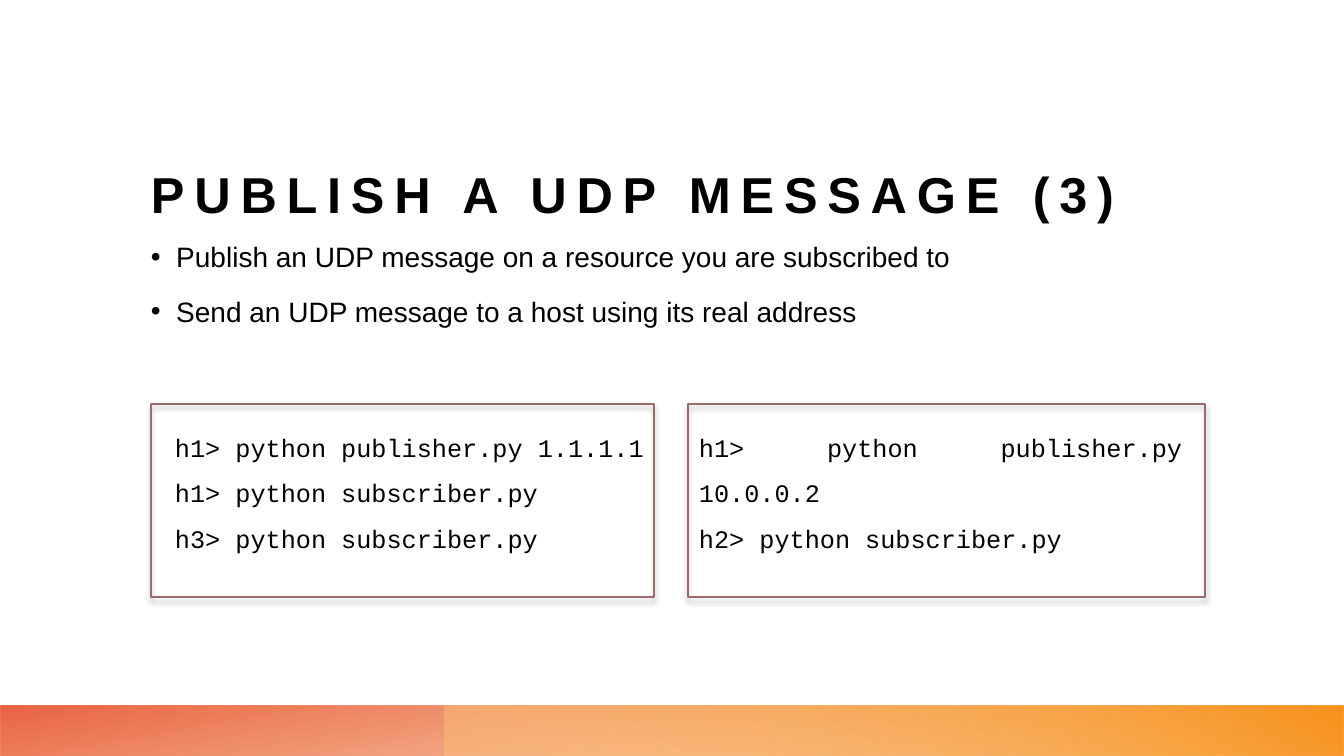
from lxml.etree import SubElement
from pptx import Presentation
from pptx.dml.color import RGBColor
from pptx.enum.shapes import MSO_SHAPE
from pptx.enum.text import MSO_ANCHOR, PP_ALIGN
from pptx.oxml import parse_xml
from pptx.oxml.ns import nsdecls, qn
from pptx.util import Pt

TITLE = "PUBLISH A UDP MESSAGE (3)"
BULLETS = [
    "Publish an UDP message on a resource you are subscribed to",
    "Send an UDP message to a host using its real address",
]
# frame left, frame width, text left, text height, commands
TERMINALS = [
    (151, 503, 165, 178, ["h1> python publisher.py 1.1.1.1",
                          "h1> python subscriber.py",
                          "h3> python subscriber.py"]),
    (688, 517, 689, 98, ["h1> python publisher.py 10.0.0.2",
                         "h2> python subscriber.py"]),
]
# left, width, rotation, gradient angle, stops (position %, colour, opacity %)
FOOTER_BARS = [
    (0, 1344, 180, 100, [(14, "EC7016", 28), (100, "E64823", 85)]),
    (445, 899, 0, 240, [(9, "FBBE77", 55), (99, "F8931D", 100)]),
]
BLACK, WHITE, FRAME = "000000", "FFFFFF", "9C6A6A"
EMU_PER_PX = 914400 / 100.8


def px(n):
    return round(n * EMU_PER_PX)


def rgb(color):
    return RGBColor.from_string(color)


def add_rect(s, *box):
    sp = s.shapes.add_shape(MSO_SHAPE.RECTANGLE, *map(px, box))
    sp.shadow.inherit = False
    return sp


def add_footer_bar(s, left, width, rotation, angle, stops):
    sp = add_rect(s, left, 706, width, 50)
    sp.line.fill.background()
    sp.rotation = rotation
    spPr = sp._element.spPr
    spPr.find(qn("a:xfrm")).set("flipH", "1")
    gs = "".join(
        f'<a:gs pos="{pos * 1000}"><a:srgbClr val="{color}">'
        f'<a:alpha val="{opacity * 1000}"/></a:srgbClr></a:gs>'
        for pos, color, opacity in stops)
    spPr.find(qn("a:prstGeom")).addnext(parse_xml(
        f'<a:gradFill {nsdecls("a")} rotWithShape="1"><a:gsLst>{gs}</a:gsLst>'
        f'<a:lin ang="{angle * 60000}" scaled="0"/></a:gradFill>'))


def add_frame(s, left, width):
    sp = add_rect(s, left, 404, width, 193)
    sp.fill.background()
    sp.line.color.rgb = rgb(FRAME)
    sp.line.width = Pt(1)
    effects = sp._element.spPr.find(qn("a:effectLst"))
    effects.append(parse_xml(
        f'<a:outerShdw {nsdecls("a")} blurRad="{Pt(4)}" dist="{Pt(3)}" '
        f'dir="5400000" rotWithShape="0"><a:srgbClr val="{BLACK}">'
        f'<a:alpha val="40000"/></a:srgbClr></a:outerShdw>'))


def add_text(s, box, lines, font, size, inset=True):
    """Add a text box with one paragraph per line and return its frame."""
    tf = s.shapes.add_textbox(*map(px, box)).text_frame
    tf.word_wrap = True
    if not inset:
        tf.margin_left = tf.margin_top = tf.margin_right = tf.margin_bottom = 0
    tf.text = "\n".join(lines)
    for p in tf.paragraphs:
        f = p.runs[0].font
        f.name, f.size, f.color.rgb = font, Pt(size), rgb(BLACK)
    return tf


def add_title(s):
    tf = add_text(s, (151, 88, 1129, 136), [TITLE], "Arial", 36, inset=False)
    tf.vertical_anchor = MSO_ANCHOR.BOTTOM
    r = tf.paragraphs[0].runs[0]
    r.font.bold = True
    r._r.get_or_add_rPr().set("spc", "700")


def add_bullets(s):
    tf = add_text(s, (151, 233, 1129, 436), BULLETS, "Arial", 20, inset=False)
    for p in tf.paragraphs:
        p.line_spacing = 1.2
        p.space_before = Pt(10)
        pPr = p._p.get_or_add_pPr()
        pPr.set("marL", str(Pt(18)))
        pPr.set("indent", str(-Pt(18)))
        SubElement(pPr, qn("a:buFont")).set("typeface", "Arial")
        SubElement(pPr, qn("a:buChar")).set("char", "•")


def add_commands(s, left, height, commands):
    tf = add_text(s, (left, 412, 503, height), commands, "Courier New", 18)
    for p in tf.paragraphs:
        p.alignment = PP_ALIGN.JUSTIFY
        p.line_spacing = 1.5
        rPr = p.runs[0]._r.get_or_add_rPr()
        rPr.find(qn("a:solidFill")).addnext(parse_xml(
            f'<a:highlight {nsdecls("a")}><a:srgbClr val="{WHITE}"/></a:highlight>'))


def main():
    prs = Presentation()
    prs.slide_width, prs.slide_height = px(1344), px(756)
    s = prs.slides.add_slide(prs.slide_layouts[6])
    for bar in FOOTER_BARS:
        add_footer_bar(s, *bar)
    add_bullets(s)
    add_title(s)
    for left, width, text_left, text_height, commands in TERMINALS:
        add_frame(s, left, width)
        add_commands(s, text_left, text_height, commands)
    prs.save("out.pptx")


if __name__ == "__main__":
    main()
